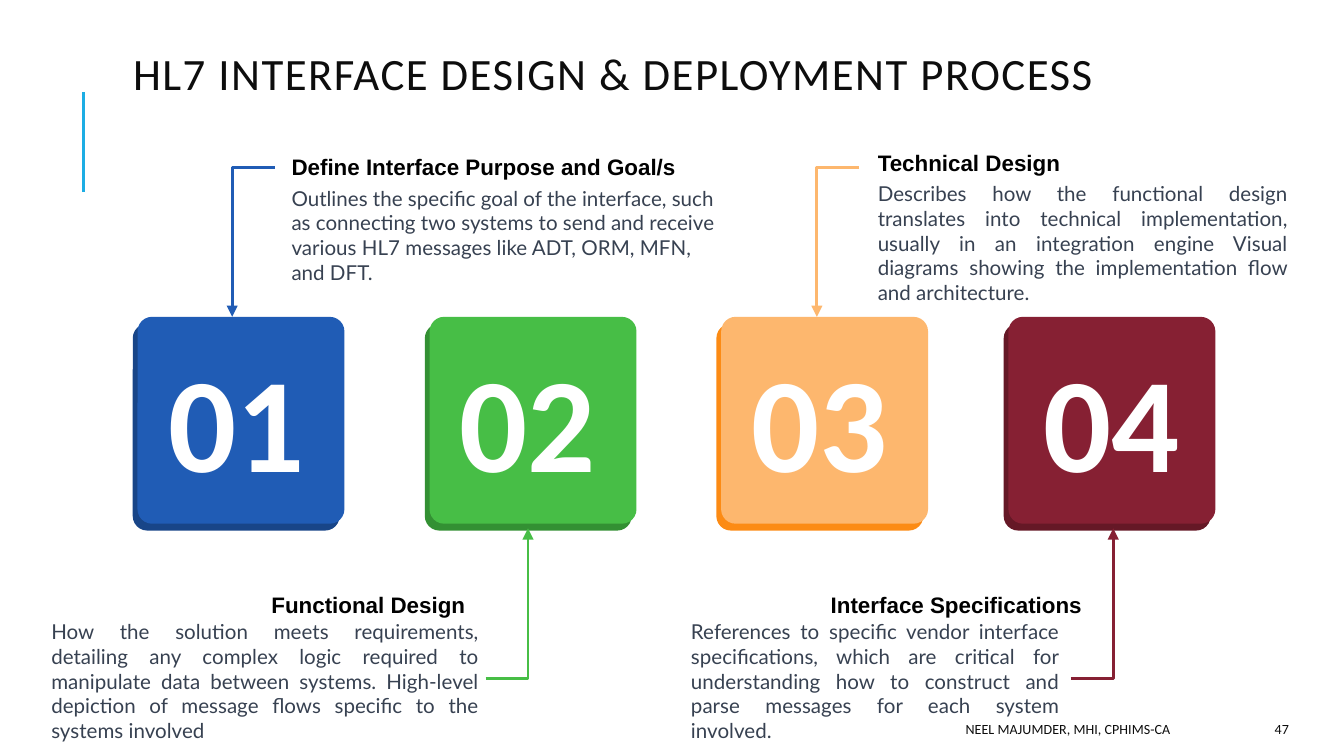
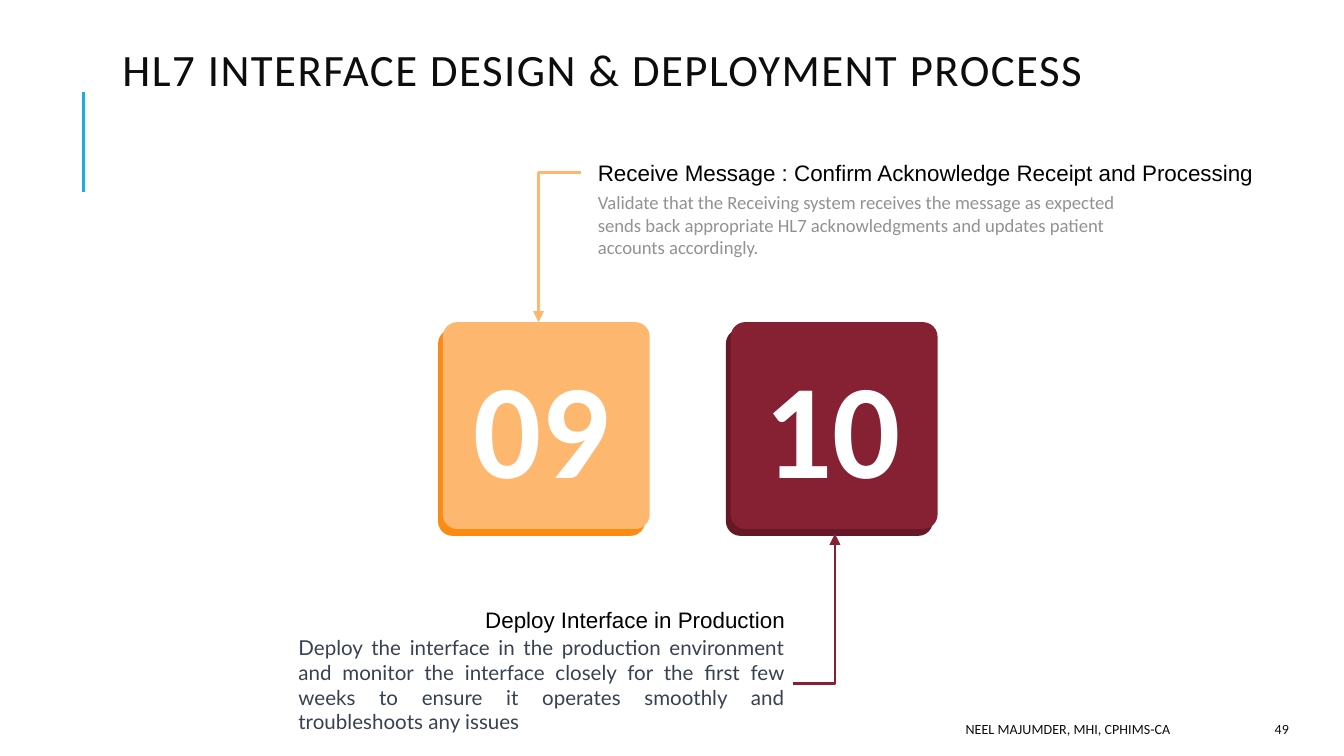
from dataclasses import dataclass

from lxml.etree import SubElement
from pptx import Presentation
from pptx.dml.color import RGBColor
from pptx.enum.shapes import MSO_CONNECTOR, MSO_SHAPE
from pptx.enum.text import MSO_ANCHOR, MSO_AUTO_SIZE, PP_ALIGN
from pptx.oxml.ns import qn
from pptx.util import Cm, Pt

# Shared look
INK = RGBColor(0x0D, 0x0D, 0x0D)
BLACK = RGBColor(0x00, 0x00, 0x00)
WHITE = RGBColor(0xFF, 0xFF, 0xFF)
SLATE = RGBColor(0x37, 0x41, 0x51)
GREY = RGBColor(0x92, 0x92, 0x92)
CYAN = RGBColor(0x1C, 0xAD, 0xE4)
BLUE = RGBColor(0x20, 0x5C, 0xB5)
NAVY = RGBColor(0x18, 0x45, 0x88)
GREEN = RGBColor(0x47, 0xBE, 0x46)
MOSS = RGBColor(0x33, 0x90, 0x33)
PEACH = RGBColor(0xFD, 0xB7, 0x6E)
ORANGE = RGBColor(0xFC, 0x8B, 0x14)
WINE = RGBColor(0x86, 0x20, 0x33)
PLUM = RGBColor(0x65, 0x18, 0x26)

LEFT, MID, RIGHT = PP_ALIGN.LEFT, PP_ALIGN.CENTER, PP_ALIGN.RIGHT
JUST = PP_ALIGN.JUSTIFY
TOP, CENTER = MSO_ANCHOR.TOP, MSO_ANCHOR.MIDDLE
GROW, FIXED = MSO_AUTO_SIZE.SHAPE_TO_FIT_TEXT, MSO_AUTO_SIZE.NONE
ELBOW, LINE = MSO_CONNECTOR.ELBOW, MSO_CONNECTOR.STRAIGHT
ROUND = MSO_SHAPE.ROUNDED_RECTANGLE

TITLE = "HL7 INTERFACE DESIGN & DEPLOYMENT PROCESS"
AUTHOR = "NEEL MAJUMDER, MHI, CPHIMS-CA"
TILE = 3.91   # tile side, cm
REACH = 4.0   # from the top of a front tile to the foot of its shade
ARM, DROP = 0.8, 2.83   # the two legs of an arrow


@dataclass
class Font:
    name: str
    size: float
    color: RGBColor
    bold: bool = False


@dataclass
class Box:
    x: float
    y: float
    w: float
    h: float


@dataclass
class Step:
    num: str
    num_x: float
    x: float       # left of the shade tile
    tip: float     # x of the arrow tip
    above: bool    # label above or below the tile
    fill: RGBColor
    shade: RGBColor
    head: str
    head_box: Box
    body: str
    body_box: Box
    body_font: Font
    body_side: PP_ALIGN = JUST
    head_side: PP_ALIGN = LEFT


@dataclass
class Page:
    num: str
    x: float       # title position
    y: float
    top: float     # top of the front tiles
    num_w: float
    bold: bool     # bold step heads
    steps: list[Step]


TEXT = Font("Lato", 11, SLATE)
NOTE = Font("Calibri", 10, GREY)
DIGIT = Font("Calibri", 72, WHITE, True)
SMALL = Font("Calibri", 7.5, INK)

PAGES = [
    Page("47", 2.26, 0.89, 5.99, 2.84, True, [
        Step("01", 3.05, 2.51, 4.39, True, BLUE, NAVY,
             "Define Interface Purpose and Goal/s", Box(5.51, 2.9, 7.34, 0.51),
             "Outlines the specific goal of the interface, such as connecting "
             "two systems to send and receive various HL7 messages like ADT, "
             "ORM, MFN, and DFT.", Box(5.51, 3.51, 8.13, 1.88), TEXT, LEFT),
        Step("02", 8.56, 8.03, 9.98, False, GREEN, MOSS,
             "Functional Design", Box(5.13, 11.18, 3.71, 0.51),
             "How the solution meets requirements, detailing any complex logic "
             "required to manipulate data between systems. High-level depiction "
             "of message flows specific to the systems involved",
             Box(0.97, 11.71, 8.08, 1.88), TEXT),
        Step("03", 14.07, 13.54, 15.44, True, PEACH, ORANGE,
             "Technical Design", Box(16.59, 2.82, 3.63, 0.51),
             "Describes how the functional design translates into technical "
             "implementation, usually in an integration engine Visual diagrams "
             "showing the implementation flow and architecture.",
             Box(16.59, 3.43, 7.75, 1.88), TEXT),
        Step("04", 19.58, 18.97, 21.04, False, WINE, PLUM,
             "Interface Specifications", Box(15.7, 11.18, 4.8, 0.51),
             "References to specific vendor interface specifications, which are "
             "critical for understanding how to construct and parse messages "
             "for each system involved.", Box(13.06, 11.71, 6.96, 1.88), TEXT),
    ]),
    Page("49", 2.06, 0.81, 6.09, 2.59, False, [
        Step("09", 8.94, 8.28, 10.18, True, PEACH, ORANGE,
             "Receive Message : Confirm Acknowledge Receipt and Processing",
             Box(11.3, 3.0, 12.5, 0.51),
             "Validate that the Receiving system receives the message as "
             "expected sends back appropriate HL7 acknowledgments and updates "
             "patient accounts accordingly.",
             Box(11.3, 3.61, 9.78, 1.27), NOTE, LEFT),
        Step("10", 14.45, 13.72, 15.78, False, WINE, PLUM,
             "Deploy Interface in Production ", Box(9.14, 11.46, 5.82, 0.51),
             "Deploy the interface in the production environment and monitor "
             "the interface closely for the first few weeks to ensure it "
             "operates smoothly and troubleshoots any issues",
             Box(5.64, 12.01, 9.19, 1.42), TEXT, JUST, RIGHT),
    ]),
]


def style(frame, text: str, font: Font, side: PP_ALIGN) -> None:
    frame.text = text
    para = frame.paragraphs[0]
    para.alignment = side
    for run in para.runs:
        run.font.name = font.name
        run.font.size = Pt(font.size)
        run.font.bold = font.bold
        run.font.color.rgb = font.color


def write(slide, box: Box, text: str, font: Font, side: PP_ALIGN,
          anchor=TOP, wrap: bool = True, inset: bool = False) -> None:
    shape = slide.shapes.add_textbox(Cm(box.x), Cm(box.y), Cm(box.w), Cm(box.h))
    frame = shape.text_frame
    frame.word_wrap = wrap
    frame.vertical_anchor = anchor
    frame.auto_size = FIXED if inset else GROW
    if not inset:
        frame.margin_left = frame.margin_right = 0
        frame.margin_top = frame.margin_bottom = 0
    style(frame, text, font, side)


def link(slide, kind, x1: float, y1: float, x2: float, y2: float,
         color: RGBColor):
    line = slide.shapes.add_connector(kind, Cm(x1), Cm(y1), Cm(x2), Cm(y2))
    line.line.color.rgb = color
    line.line.width = Pt(1.5)
    SubElement(line._element.spPr, qn("a:effectLst"))
    return line


def arrow(slide, step: Step, top: float) -> None:
    if step.above:
        x, y, end = step.tip + ARM, top - DROP, top
    else:
        x, y, end = step.tip - ARM, top + REACH + DROP, top + REACH
    line = link(slide, ELBOW, x, y, step.tip, end, step.fill)
    props = line._element.spPr
    props.find(qn("a:prstGeom")).set("prst", "bentConnector2")
    SubElement(props.find(qn("a:ln")), qn("a:tailEnd"), type="triangle")


def tile(slide, x: float, y: float, color: RGBColor) -> None:
    shape = slide.shapes.add_shape(ROUND, Cm(x), Cm(y), Cm(TILE), Cm(TILE))
    shape.adjustments[0] = 0.07
    shape.shadow.inherit = False
    shape.fill.solid()
    shape.fill.fore_color.rgb = color
    shape.line.fill.background()


def draw_step(slide, step: Step, page: Page) -> None:
    tile(slide, step.x, page.top + 0.13, step.shade)
    tile(slide, step.x + 0.09, page.top, step.fill)
    write(slide, Box(step.num_x, page.top + 0.41, page.num_w, 3.07), step.num,
          DIGIT, MID, wrap=False)
    write(slide, step.body_box, step.body, step.body_font, step.body_side)
    write(slide, step.head_box, step.head, Font("Arial", 12, BLACK, page.bold),
          step.head_side, CENTER, wrap=False)
    arrow(slide, step, page.top)


def draw_title(slide, page: Page) -> None:
    title = slide.shapes.title
    title.left, title.top = Cm(page.x), Cm(page.y)
    title.width, title.height = Cm(20.24), Cm(1.17)
    frame = title.text_frame
    frame.vertical_anchor = CENTER
    frame.auto_size = FIXED
    style(frame, TITLE, Font("Calibri", 24, INK), LEFT)
    para = frame.paragraphs[0]
    para.line_spacing = 0.8
    para.runs[0].font._element.set("spc", "80")


def draw_page(deck, page: Page) -> None:
    slide = deck.slides.add_slide(deck.slide_layouts[5])
    draw_title(slide, page)
    link(slide, LINE, 1.58, 3.63, 1.58, 1.73, CYAN)
    for step in page.steps:
        draw_step(slide, step, page)
    # Footer
    for box, text in ((Box(10.08, 13.49, 12.29, 0.58), AUTHOR),
                      (Box(22.58, 13.49, 2.03, 0.58), page.num)):
        write(slide, box, text, SMALL, RIGHT, CENTER, inset=True)


def main() -> None:
    deck = Presentation()
    deck.slide_width, deck.slide_height = Cm(25.4), Cm(14.29)
    for page in PAGES:
        draw_page(deck, page)
    deck.save("out.pptx")


if __name__ == "__main__":
    main()
